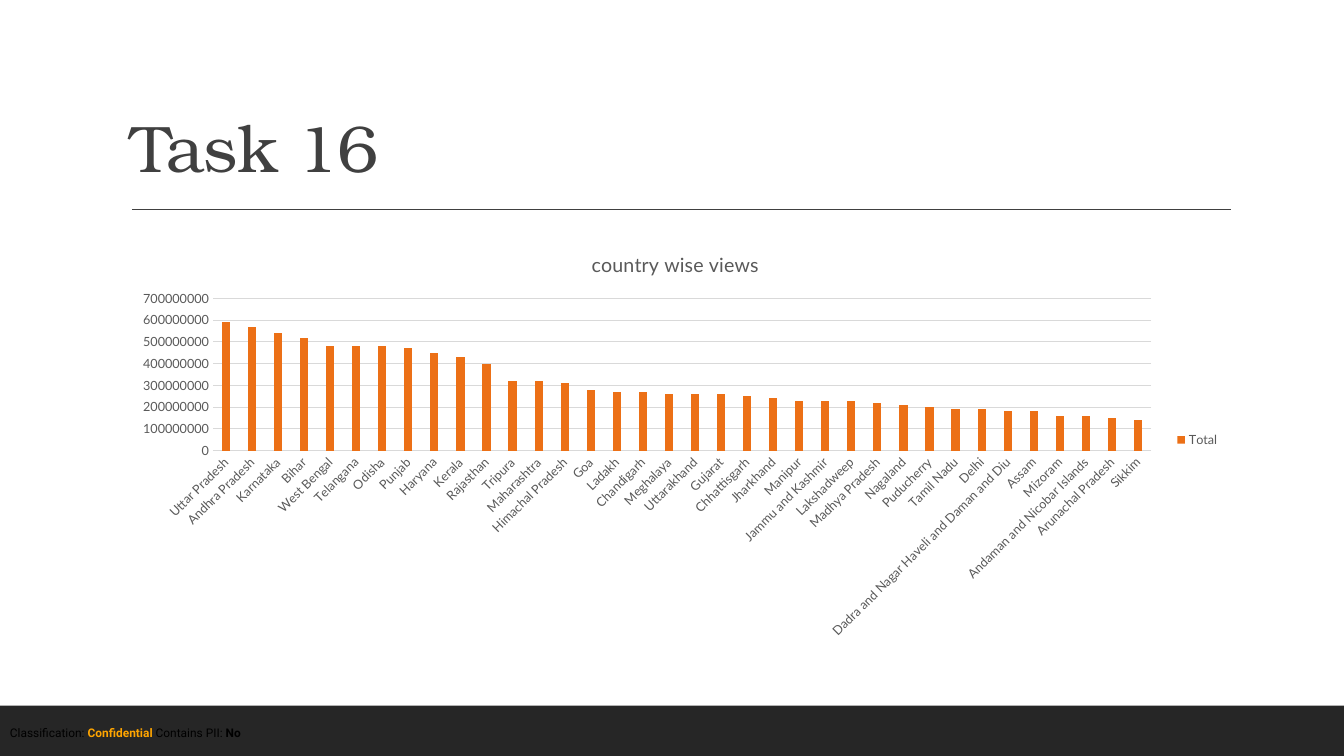
from lxml.etree import SubElement
from pptx import Presentation
from pptx.chart.data import CategoryChartData
from pptx.dml.color import RGBColor
from pptx.enum.chart import XL_CHART_TYPE as ChartType, XL_LEGEND_POSITION as LegendPosition, XL_TICK_MARK as TickMark
from pptx.enum.shapes import MSO_CONNECTOR as Connector, MSO_SHAPE as Shape
from pptx.enum.text import MSO_ANCHOR as Anchor
from pptx.oxml.ns import qn
from pptx.util import Pt

COLORS = {"bar": "262626", "dark": "404040", "label": "595959", "grid": "D9D9D9",
          "series": "EC7016", "accent": "FFA500", "black": "000000"}
HEADING = "Task 16"
CHART_HEADING = "country wise views"
SERIES = "Total"
CLASSIFICATION = [("Classification: ", "black", False), ("Confidential", "accent", True),
                  (" Contains PII: ", "black", False), ("No", "black", True)]
MILLION = 1000000
VIEWS = [
    ("Uttar Pradesh", 590), ("Andhra Pradesh", 570), ("Karnataka", 540), ("Bihar", 520),
    ("West Bengal", 480), ("Telangana", 480), ("Odisha", 480), ("Punjab", 470),
    ("Haryana", 450), ("Kerala", 430), ("Rajasthan", 400), ("Tripura", 320),
    ("Maharashtra", 320), ("Himachal Pradesh", 310), ("Goa", 280), ("Ladakh", 270),
    ("Chandigarh", 270), ("Meghalaya", 260), ("Uttarakhand", 260), ("Gujarat", 260),
    ("Chhattisgarh", 250), ("Jharkhand", 240), ("Manipur", 230), ("Jammu and Kashmir", 230),
    ("Lakshadweep", 230), ("Madhya Pradesh", 220), ("Nagaland", 210), ("Puducherry", 200),
    ("Tamil Nadu", 190), ("Delhi", 190), ("Dadra and Nagar Haveli and Daman and Diu", 180),
    ("Assam", 180), ("Mizoram", 160), ("Andaman and Nicobar Islands", 160),
    ("Arunachal Pradesh", 150), ("Sikkim", 140),
]
WIDTH, HEIGHT = 960, 540
BAR_HEIGHT = 36
LEFT, CONTENT_WIDTH = 86.4, 792


def rgb(name):
    """Return the palette colour called name."""
    return RGBColor.from_string(COLORS[name])


def style(font, face, size, color, bold=False):
    """Set the face, size, colour and weight of a font."""
    font.name, font.size, font.bold = face, Pt(size), bold
    font.color.rgb = rgb(color)


def add_text(slide, left, top, width, height, anchor):
    """Add a wrapping text box and return its text frame."""
    frame = slide.shapes.add_textbox(Pt(left), Pt(top), Pt(width), Pt(height)).text_frame
    frame.word_wrap = True
    frame.vertical_anchor = anchor
    return frame


def add_footer(slide):
    """Add the dark bar and the classification line on it."""
    bar = slide.shapes.add_shape(Shape.RECTANGLE, 0, Pt(HEIGHT - BAR_HEIGHT), Pt(WIDTH), Pt(BAR_HEIGHT))
    bar.shadow.inherit = False
    bar.fill.solid()
    bar.fill.fore_color.rgb = rgb("bar")
    bar.line.fill.background()
    paragraph = add_text(slide, 0, 514.8, WIDTH, 17.3, Anchor.TOP).paragraphs[0]
    for text, color, bold in CLASSIFICATION:
        run = paragraph.add_run()
        run.text = text
        style(run.font, "Roboto", 8.5, color, bold)


def add_heading(slide):
    """Add the heading and the rule below it."""
    rule = slide.shapes.add_connector(Connector.STRAIGHT, Pt(94.3), Pt(149.6), Pt(879), Pt(149.6))
    rule.line.color.rgb = rgb("dark")
    rule.line.width = Pt(1)
    SubElement(rule._element.spPr, qn("a:effectLst"))
    paragraph = add_text(slide, LEFT, 22.3, CONTENT_WIDTH, 114.5, Anchor.BOTTOM).paragraphs[0]
    paragraph.text = HEADING
    paragraph.line_spacing = 0.9
    heading = paragraph.runs[0]
    style(heading.font, "TeX Gyre Bonum", 47, "dark")
    heading.font._element.set("spc", "-50")


def add_views_chart(slide):
    """Add the column chart of views."""
    data = CategoryChartData()
    data.categories = [state for state, _ in VIEWS]
    data.add_series(SERIES, [views * MILLION for _, views in VIEWS])
    chart = slide.shapes.add_chart(ChartType.COLUMN_CLUSTERED, Pt(LEFT), Pt(166.3),
                                   Pt(CONTENT_WIDTH), Pt(295.9), data).chart
    style(chart.font, "Lato", 10, "black")
    title = chart.chart_title.text_frame
    title.text = CHART_HEADING
    style(title.paragraphs[0].runs[0].font, "Lato", 14, "label")

    chart.has_legend = True
    chart.legend.position = LegendPosition.RIGHT
    chart.legend.include_in_layout = False
    style(chart.legend.font, "Lato", 9, "label")

    states, scale = chart.category_axis, chart.value_axis
    for axis in (states, scale):
        axis.major_tick_mark = axis.minor_tick_mark = TickMark.NONE
        style(axis.tick_labels.font, "Lato", 9, "label")
    states._element.find(qn("c:txPr")).find(qn("a:bodyPr")).set("rot", "-2700000")
    scale.minimum_scale, scale.maximum_scale, scale.major_unit = 0, 700 * MILLION, 100 * MILLION
    scale.has_major_gridlines = True
    scale.format.line.fill.background()
    for line in (states.format.line, scale.major_gridlines.format.line):
        line.color.rgb = rgb("grid")
        line.width = Pt(0.75)

    plot = chart.plots[0]
    plot.gap_width, plot.overlap, plot.vary_by_categories = 219, -27, False
    columns = plot.series[0]
    columns.invert_if_negative = False
    columns.format.fill.solid()
    columns.format.fill.fore_color.rgb = rgb("series")


def main():
    """Build and save the slide."""
    deck = Presentation()
    deck.slide_width, deck.slide_height = Pt(WIDTH), Pt(HEIGHT)
    slide = deck.slides.add_slide(deck.slide_layouts[6])
    add_footer(slide)
    add_heading(slide)
    add_views_chart(slide)
    deck.save("out.pptx")


if __name__ == "__main__":
    main()
